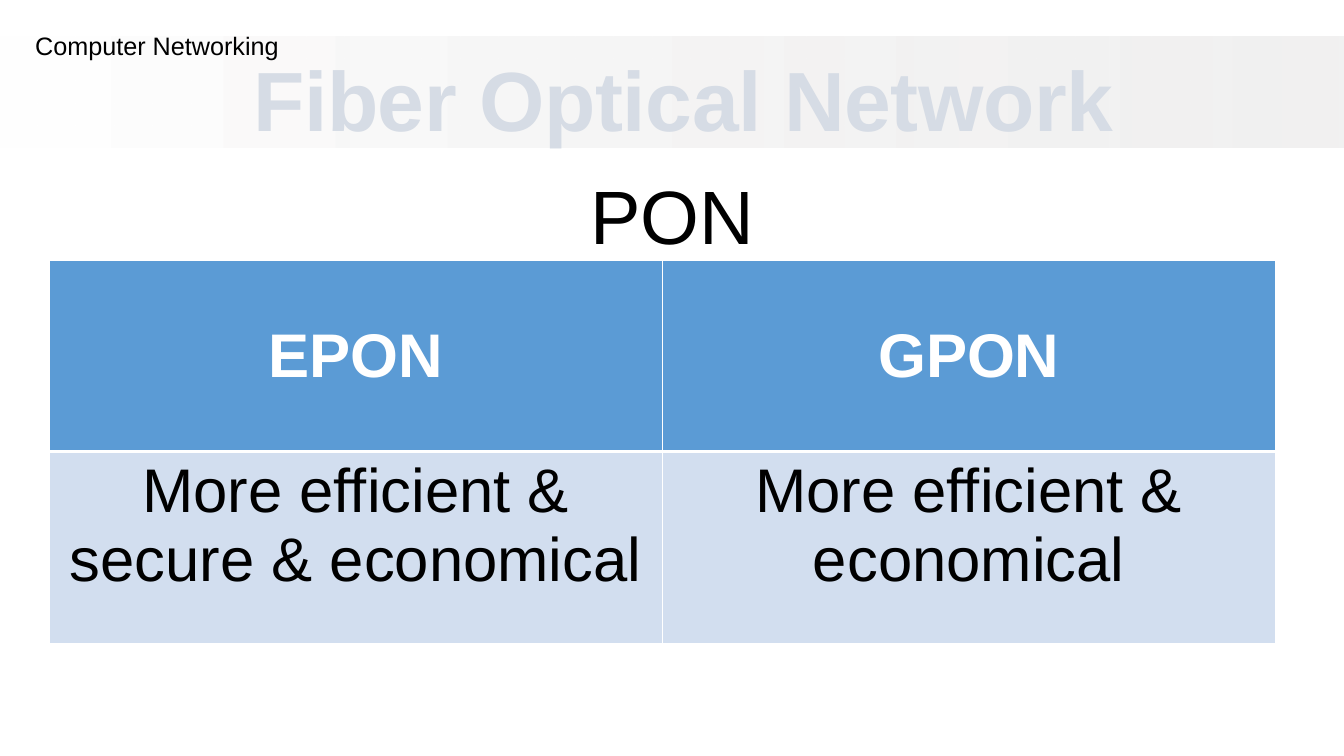
import pptx
import pptx.dml.color
import pptx.enum.shapes
import pptx.enum.text
import pptx.oxml
import pptx.oxml.ns
import pptx.util
from pptx.util import Inches

COLORS = {
    "white": "FFFFFF",
    "black": "000000",
    "band": "E7E6E6",
    "title": "D6DCE5",
    "header": "5B9BD5",
    "body": "D2DEEF",
}
CENTER = pptx.enum.text.PP_ALIGN.CENTER


def rgb(name):
    return pptx.dml.color.RGBColor.from_string(COLORS[name])


class SlideBuilder:
    font = "Arial"

    def __init__(self, prs):
        self.s = prs.slides.add_slide(prs.slide_layouts[6])

    def add_run(self, tf, text, size, color="black", bold=False, align=None):
        p = tf.paragraphs[0]
        p.alignment = align
        r = p.add_run()
        r.text = text
        r.font.name = self.font
        r.font.size = pptx.util.Pt(size)
        r.font.bold = bold
        r.font.color.rgb = rgb(color)
        return r

    def text(self, box, text, size, **style):
        tf = self.s.shapes.add_textbox(*map(Inches, box)).text_frame
        tf.word_wrap = True
        return self.add_run(tf, text, size, **style)

    def band(self, box, start, end, end_alpha):
        """Draw a left-to-right gradient whose end colour is partly transparent."""
        sp = self.s.shapes.add_shape(
            pptx.enum.shapes.MSO_SHAPE.RECTANGLE, *map(Inches, box))
        sp.shadow.inherit = False
        sp.line.fill.background()
        sp.fill.gradient()
        sp.fill.gradient_angle = 0
        for stop, color in zip(sp.fill.gradient_stops, (start, end)):
            stop.color.rgb = rgb(color)
        end_color = sp._element.spPr.findall(".//" + pptx.oxml.ns.qn("a:srgbClr"))[-1]
        end_color.append(pptx.oxml.parse_xml(
            f'<a:alpha {pptx.oxml.ns.nsdecls("a")} val="{end_alpha * 1000}"/>'))

    def borders(self, cell, **widths):
        """Set white borders, with widths in points for the sides L, R, T and B."""
        tc_pr = cell._tc.get_or_add_tcPr()
        for side, width in widths.items():
            tc_pr.append(pptx.oxml.parse_xml(
                f'<a:ln{side} {pptx.oxml.ns.nsdecls("a")} w="{pptx.util.Pt(width)}">'
                f'<a:solidFill><a:srgbClr val="{COLORS["white"]}"/></a:solidFill>'
                f'</a:ln{side}>'))

    def table(self, box, rows, size):
        """Draw a table whose first row is a bold, vertically centred header."""
        table = self.s.shapes.add_table(
            len(rows), len(rows[0]), *map(Inches, box)).table
        for i, row in enumerate(rows):
            header = i == 0
            for j, text in enumerate(row):
                cell = table.cell(i, j)
                self.borders(cell, L=1, R=1, T=1 if header else 3, B=3 if header else 1)
                cell.fill.solid()
                cell.fill.fore_color.rgb = rgb("header" if header else "body")
                if header:
                    cell.vertical_anchor = pptx.enum.text.MSO_ANCHOR.MIDDLE
                self.add_run(cell.text_frame, text, size, bold=header, align=CENTER,
                             color="white" if header else "black")


def main():
    prs = pptx.Presentation()
    prs.slide_width = Inches(13.33)
    prs.slide_height = Inches(7.5)

    slide = SlideBuilder(prs)
    slide.band((0, 0.36, 13.33, 1.1), "white", "band", 54)
    slide.text((3.45, 1.63, 6.43, 1.01), "PON", 54, align=CENTER)
    slide.text((0.25, 0.25, 2.92, 0.4), "Computer Networking", 18)
    title = slide.text((1.5, 0.42, 10.55, 1.11), "Fiber Optical Network", 60,
                       color="title", bold=True, align=CENTER)
    title.font._element.set("spc", "-30")
    slide.table((0.49, 2.58, 12.16, 3.8), [
        ("EPON", "GPON"),
        ("More efficient & secure & economical", "More efficient & economical"),
    ], 44)

    prs.save("out.pptx")


if __name__ == "__main__":
    main()
